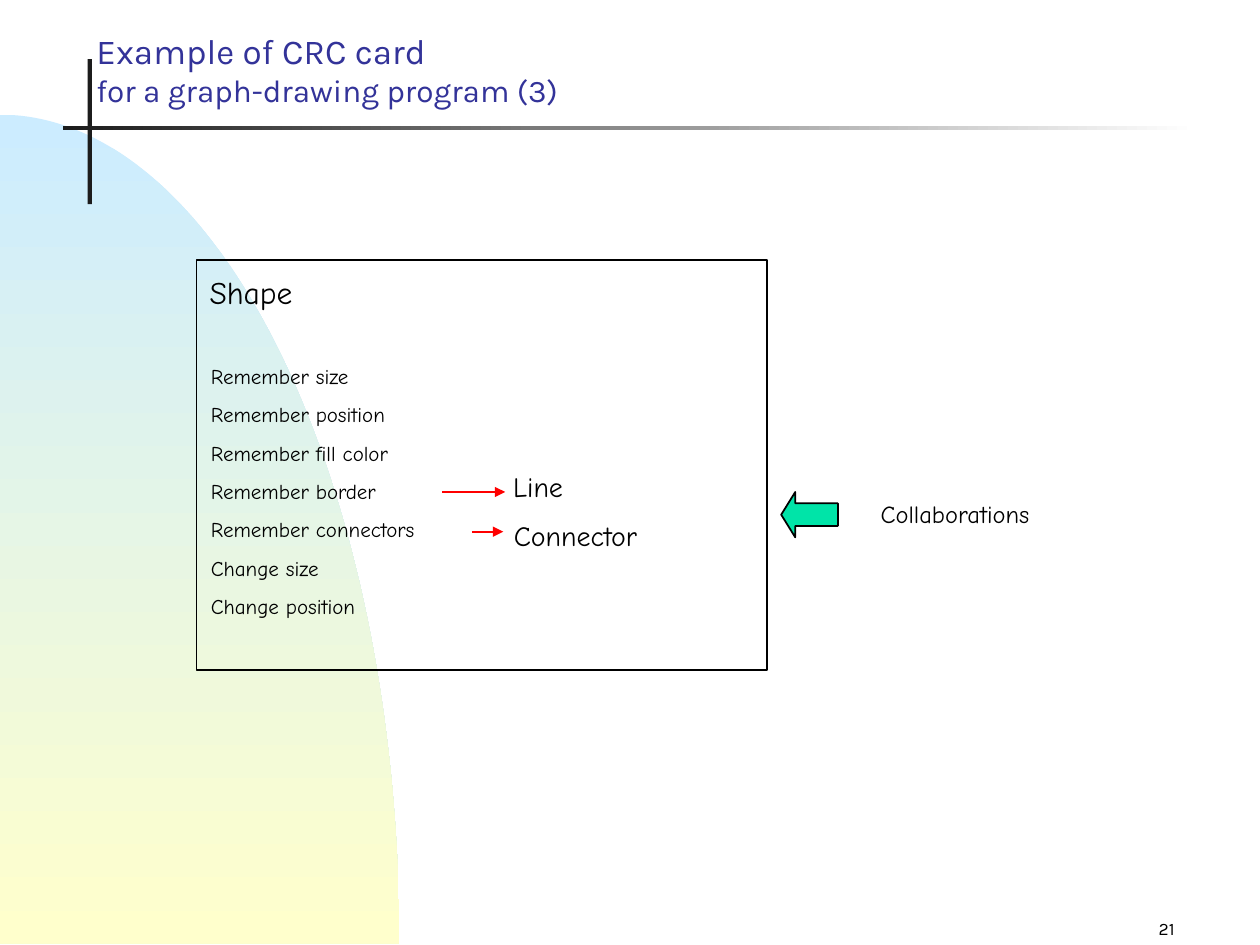
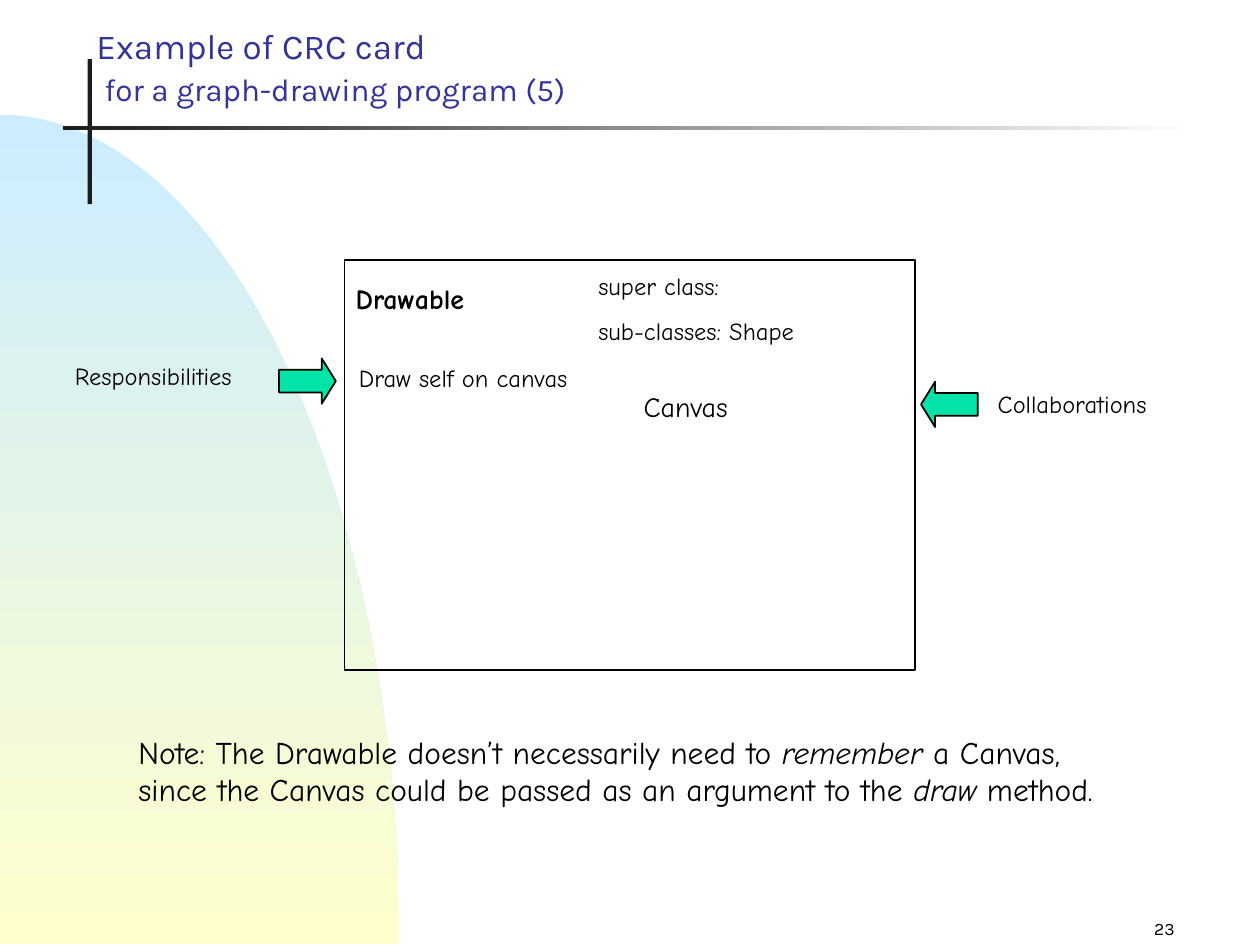
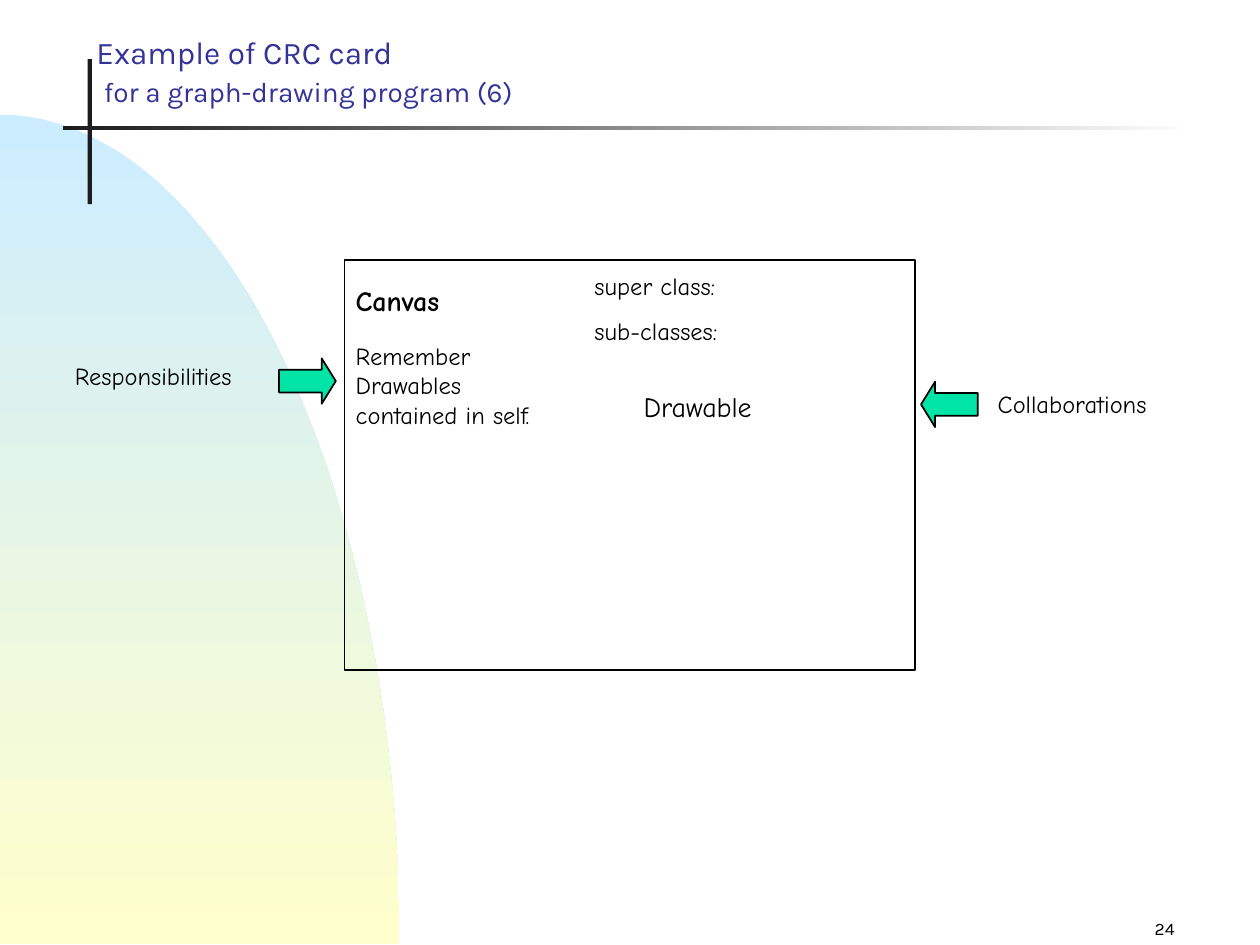
import math
from dataclasses import dataclass
from typing import NamedTuple

from lxml import etree
from pptx import Presentation
from pptx.dml.color import RGBColor
from pptx.dml.fill import FillFormat
from pptx.enum.shapes import MSO_CONNECTOR, MSO_SHAPE
from pptx.enum.text import MSO_ANCHOR, MSO_AUTO_SIZE, PP_ALIGN
from pptx.oxml.ns import qn
from pptx.shapes.autoshape import Shape
from pptx.slide import Slide, SlideLayout
from pptx.util import Inches, Length, Pt

RECTANGLE = MSO_SHAPE.RECTANGLE
RIGHT_ARROW = MSO_SHAPE.RIGHT_ARROW
LEFT_ARROW = MSO_SHAPE.LEFT_ARROW
STRAIGHT = MSO_CONNECTOR.STRAIGHT
BOTTOM = MSO_ANCHOR.BOTTOM
FIXED = MSO_AUTO_SIZE.NONE
GROW = MSO_AUTO_SIZE.SHAPE_TO_FIT_TEXT
LEFT = PP_ALIGN.LEFT
RIGHT = PP_ALIGN.RIGHT

BLACK = RGBColor(0x00, 0x00, 0x00)
CHARCOAL = RGBColor(0x1C, 0x1C, 0x1C)
WHITE = RGBColor(0xFF, 0xFF, 0xFF)
SKY = RGBColor(0xCC, 0xEC, 0xFF)
CREAM = RGBColor(0xFF, 0xFF, 0xCC)
INDIGO = RGBColor(0x33, 0x33, 0x99)
GREEN = RGBColor(0x00, 0xE4, 0xA8)
RED = RGBColor(0xFF, 0x00, 0x00)

HEADING_FONT = "Karla"
CARD_FONT = "Comic Neue"

COLUMNS, ROWS = 100, 75
CELL = Inches(0.1)
TITLE_ONLY = 5
HILL_STEPS = 90
SPACE_SHARE = 0.625


class Area(NamedTuple):
    column: float
    row: float
    columns: float
    rows: float

    def lengths(self) -> list[Length]:
        return [cells(value) for value in self]


class Link(NamedTuple):
    start: float
    end: float
    row: float


@dataclass(frozen=True)
class Note:
    area: Area
    lines: tuple[str, ...]
    size: float = 14
    bold: bool = False
    spaced: bool = True


@dataclass(frozen=True)
class Pointer:
    caption: str
    caption_area: Area
    column: float
    row: float
    direction: MSO_SHAPE


@dataclass(frozen=True)
class CrcSlide:
    page: int
    topic: str
    heading_size: float
    card_column: float
    notes: tuple[Note, ...]
    pointers: tuple[Pointer, ...]
    links: tuple[Link, ...] = ()
    indent: str = " "


TITLE_AREA = Area(6.65, 1.65, 70.8, 7.5)
PAGE_AREA = Area(73.4, 71.7, 20.8, 3.3)
HILL = Area(0, 9.1, 31.7, 65.8)
VERTICAL_RULE = Area(6.95, 4.7, 0.35, 11.5)
HORIZONTAL_RULE = Area(5, 10, 90, 0.35)
CARD_ROW, CARD_COLUMNS, CARD_ROWS = 20.65, 45.3, 32.5
POINTER_COLUMNS, POINTER_ROWS = 4.5, 3.6

RESPONSIBILITIES = Pointer(
    "Responsibilities", Area(4.95, 28.15, 15.5, 3.4), 22.15, 28.45, RIGHT_ARROW
)


def collaborations(column: float, row: float, caption_column: float, caption_row: float) -> Pointer:
    return Pointer(
        "Collaborations", Area(caption_column, caption_row, 15, 3.4), column, row, LEFT_ARROW
    )


def partner(name: str, column: float, row: float) -> Note:
    return Note(Area(column, row, 20, 3.7), (name,), size=16)


COLLABORATIONS = collaborations(73.1, 30.3, 78.2, 30.4)

CRC_SLIDES = (
    CrcSlide(
        page=21,
        topic="for a graph-drawing program (3)",
        heading_size=20,
        card_column=15.6,
        indent="",
        notes=(
            Note(Area(15.65, 21.2, 12, 4), ("Shape",), size=18),
            partner("Line", 39.75, 36.75),
            partner("Connector", 39.8, 40.65),
            Note(
                Area(15.75, 28.35, 22.4, 21.3),
                (
                    "Remember size",
                    "Remember position",
                    "Remember fill color",
                    "Remember border",
                    "Remember connectors",
                    "Change size",
                    "Change position",
                ),
                size=12,
            ),
        ),
        pointers=(collaborations(62, 39.05, 68.9, 39.1),),
        links=(Link(35.1, 40.1, 39.05), Link(37.45, 39.95, 42.2)),
    ),
    CrcSlide(
        page=23,
        topic="for a graph-drawing program (5)",
        heading_size=20,
        card_column=27.35,
        notes=(
            Note(Area(27.5, 28.3, 19, 3.4), ("Draw self on canvas",)),
            Note(Area(27.25, 21.85, 14, 3.7), ("Drawable",), size=16, bold=True),
            Note(Area(46.5, 21, 22, 6.9), ("super class:", "sub-classes: Shape")),
            partner("Canvas", 50.1, 30.4),
            Note(
                Area(10, 57.65, 82, 7),
                (
                    "Note: The Drawable doesn’t necessarily need to *remember* a Canvas,",
                    "since the Canvas could be passed as an argument to the *draw* method.",
                ),
                size=18,
                spaced=False,
            ),
        ),
        pointers=(RESPONSIBILITIES, COLLABORATIONS),
    ),
    CrcSlide(
        page=24,
        topic="for a graph-drawing program (6)",
        heading_size=18,
        card_column=27.35,
        notes=(
            Note(Area(27.25, 26.55, 19, 8), ("Remember Drawables contained in self.",)),
            Note(Area(27.25, 22.05, 14, 3.7), ("Canvas",), size=16, bold=True),
            Note(Area(46.2, 21, 22, 6.9), ("super class:", "sub-classes:")),
            partner("Drawable", 50.1, 30.4),
        ),
        pointers=(RESPONSIBILITIES, COLLABORATIONS),
    ),
)


def cells(count: float) -> Length:
    return Length(round(count * CELL))


def blend(fill: FillFormat, first: RGBColor, last: RGBColor, angle: float) -> None:
    fill.gradient()
    fill.gradient_angle = angle
    for stop, color, position in zip(fill.gradient_stops, (first, last), (0, 1)):
        stop.color.rgb = color
        stop.position = position


def add_preset(slide: Slide, preset: MSO_SHAPE, area: Area) -> Shape:
    shape = slide.shapes.add_shape(preset, *area.lengths())
    shape.shadow.inherit = False
    return shape


def outline(shape: Shape) -> None:
    shape.line.color.rgb = BLACK
    shape.line.width = Pt(1)


def add_hill(slide: Slide) -> Shape:
    base = HILL.row + HILL.rows
    angles = [math.pi / 2 * step / HILL_STEPS for step in range(HILL_STEPS + 1)]
    curve = [
        (cells(HILL.columns * math.sin(angle)), cells(base - HILL.rows * math.cos(angle)))
        for angle in angles
    ]
    builder = slide.shapes.build_freeform(*curve[0])
    builder.add_line_segments([*curve[1:], (cells(0), cells(base))], close=True)
    hill = builder.convert_to_shape()
    hill.shadow.inherit = False
    blend(hill.fill, SKY, CREAM, 270)
    return hill


def decorate_layout(layout: SlideLayout, slide: Slide) -> None:
    hill = add_hill(slide)
    vertical_rule = add_preset(slide, RECTANGLE, VERTICAL_RULE)
    vertical_rule.fill.solid()
    vertical_rule.fill.fore_color.rgb = CHARCOAL
    horizontal_rule = add_preset(slide, RECTANGLE, HORIZONTAL_RULE)
    blend(horizontal_rule.fill, CHARCOAL, WHITE, 0)
    for index, decoration in enumerate((hill, vertical_rule, horizontal_rule), start=2):
        decoration.line.fill.background()
        layout.shapes.element.insert(index, decoration.element)


def write_title(slide: Slide, content: CrcSlide) -> None:
    title = slide.shapes.title
    title.left, title.top, title.width, title.height = TITLE_AREA.lengths()
    frame = title.text_frame
    frame.auto_size = FIXED
    frame.vertical_anchor = BOTTOM
    heading = frame.paragraphs[0]
    heading.text = "Example of CRC card \v" + content.indent
    heading.alignment = LEFT
    heading.font.name = HEADING_FONT
    heading.font.size = Pt(content.heading_size)
    heading.font.color.rgb = INDIGO
    topic = heading.add_run()
    topic.text = content.topic
    topic.font.size = Pt(content.heading_size - 2)


def write_note(slide: Slide, note: Note) -> None:
    frame = slide.shapes.add_textbox(*note.area.lengths()).text_frame
    frame.word_wrap = True
    frame.auto_size = GROW
    for index, line in enumerate(note.lines):
        paragraph = frame.add_paragraph() if index else frame.paragraphs[0]
        if index and note.spaced:
            paragraph.space_before = Pt(round(note.size * SPACE_SHARE, 1))
        paragraph.font.name = CARD_FONT
        paragraph.font.size = Pt(note.size)
        paragraph.font.bold = note.bold
        paragraph.font.color.rgb = BLACK
        for part, words in enumerate(line.split("*")):
            run = paragraph.add_run()
            run.text = words
            if part % 2:
                run.font.italic = True


def write_page_number(slide: Slide, page: int) -> None:
    frame = slide.shapes.add_textbox(*PAGE_AREA.lengths()).text_frame
    frame.word_wrap = True
    frame.vertical_anchor = BOTTOM
    number = frame.paragraphs[0]
    number.text = str(page)
    number.alignment = RIGHT
    number.font.name = HEADING_FONT
    number.font.size = Pt(10)
    number.font.color.rgb = BLACK


def draw_card(slide: Slide, column: float) -> None:
    card = add_preset(slide, RECTANGLE, Area(column, CARD_ROW, CARD_COLUMNS, CARD_ROWS))
    card.fill.background()
    outline(card)


def draw_pointer(slide: Slide, pointer: Pointer) -> None:
    area = Area(pointer.column, pointer.row, POINTER_COLUMNS, POINTER_ROWS)
    arrow = add_preset(slide, pointer.direction, area)
    arrow.adjustments[0] = 0.5
    arrow.adjustments[1] = 0.31
    arrow.fill.solid()
    arrow.fill.fore_color.rgb = GREEN
    outline(arrow)
    write_note(slide, Note(pointer.caption_area, (pointer.caption,)))


def draw_link(slide: Slide, link: Link) -> None:
    row = cells(link.row)
    connector = slide.shapes.add_connector(STRAIGHT, cells(link.start), row, cells(link.end), row)
    connector.line.color.rgb = RED
    connector.line.width = Pt(1)
    properties = connector.element.spPr
    etree.SubElement(properties.find(qn("a:ln")), qn("a:tailEnd"), type="triangle")
    etree.SubElement(properties, qn("a:effectLst"))


def build_slide(slide: Slide, content: CrcSlide) -> None:
    write_title(slide, content)
    draw_card(slide, content.card_column)
    for note in content.notes:
        write_note(slide, note)
    for pointer in content.pointers:
        draw_pointer(slide, pointer)
    for link in content.links:
        draw_link(slide, link)
    write_page_number(slide, content.page)


def main() -> None:
    presentation = Presentation()
    presentation.slide_width = cells(COLUMNS)
    presentation.slide_height = cells(ROWS)
    layout = presentation.slide_layouts[TITLE_ONLY]
    slides = [presentation.slides.add_slide(layout) for _ in CRC_SLIDES]
    decorate_layout(layout, slides[0])
    for slide, content in zip(slides, CRC_SLIDES):
        build_slide(slide, content)
    presentation.save("out.pptx")


if __name__ == "__main__":
    main()
